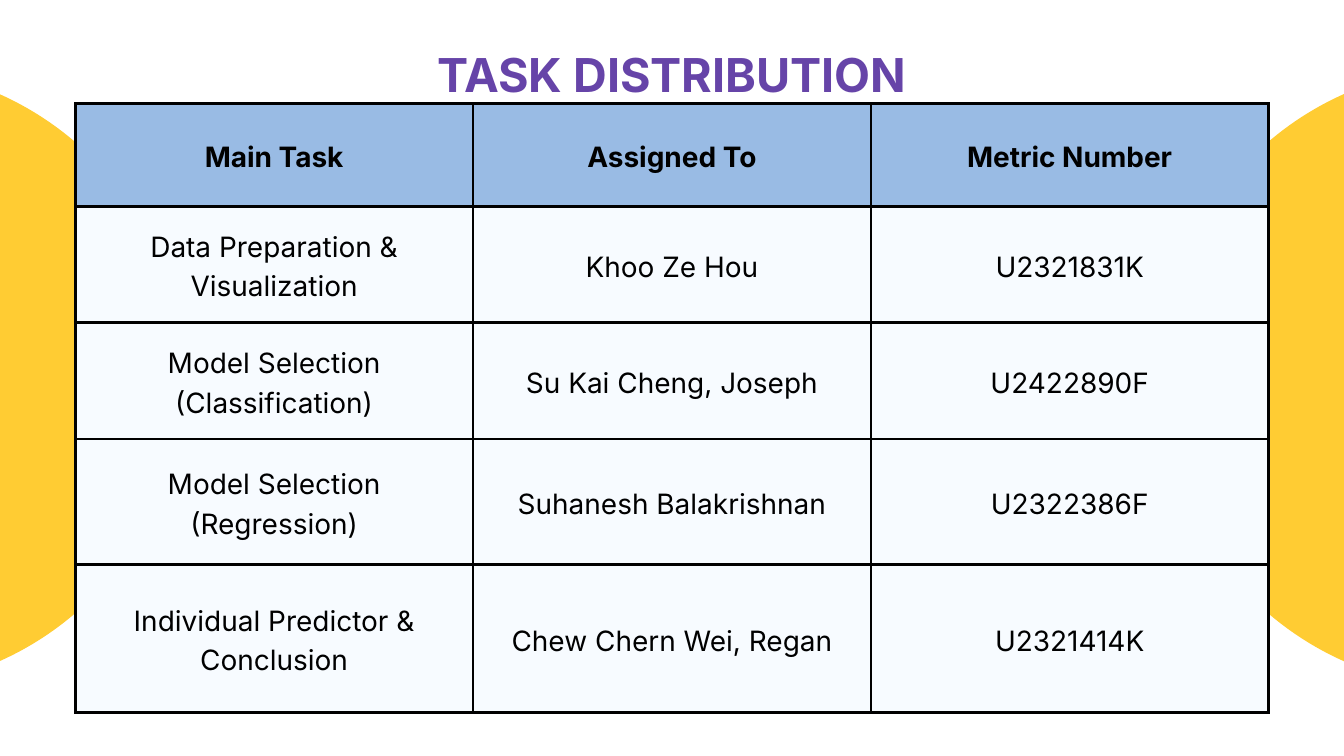
from typing import NamedTuple

import lxml.etree
import pptx
import pptx.dml.color
import pptx.enum.shapes
import pptx.enum.text
import pptx.oxml.ns
import pptx.util

Inches = pptx.util.Inches
Pt = pptx.util.Pt

COLORS = {
    "background": "FFFFFF",
    "title": "6644A8",
    "circle": "FFCC33",
    "header": "99BBE4",
    "body": "F7FBFF",
    "ink": "000000",
}
FONT = "Inter"
SLIDE_WIDTH, SLIDE_HEIGHT = 20, 11.25
CIRCLE_SIZE = 9.24
COLUMN_WIDTH = 5.92
CELL_MARGIN = 0.21
BORDER_WIDTH = 3


class Task(NamedTuple):
    name: str
    assignee: str
    metric_number: str
    height: float


HEADER = Task("Main Task", "Assigned To", "Metric Number", 1.53)
TASKS = [
    Task("Data Preparation & Visualization", "Khoo Ze Hou", "U2321831K", 1.73),
    Task("Model Selection (Classification)", "Su Kai Cheng, Joseph", "U2422890F", 1.73),
    Task("Model Selection (Regression)", "Suhanesh Balakrishnan", "U2322386F", 1.87),
    Task("Individual Predictor & Conclusion", "Chew Chern Wei, Regan", "U2321414K", 2.2),
]


def rgb(name: str) -> pptx.dml.color.RGBColor:
    return pptx.dml.color.RGBColor.from_string(COLORS[name])


def write_centered(frame, text: str, size: float, spacing: float, color: str, bold: bool) -> None:
    frame.word_wrap = True
    paragraph = frame.paragraphs[0]
    paragraph.text = text
    paragraph.alignment = pptx.enum.text.PP_ALIGN.CENTER
    paragraph.line_spacing = Pt(spacing)
    paragraph.font.name = FONT
    paragraph.font.size = Pt(size)
    paragraph.font.bold = bold
    paragraph.font.color.rgb = rgb(color)


def add_title(slide, text: str) -> None:
    title = slide.shapes.add_textbox(Inches(6.47), Inches(0.82), Inches(7.06), Inches(0.72))
    frame = title.text_frame
    frame.margin_left = frame.margin_right = frame.margin_top = frame.margin_bottom = 0
    write_centered(frame, text, 50, 50, "title", True)


def add_circle(slide, left: float) -> None:
    circle = slide.shapes.add_shape(
        pptx.enum.shapes.MSO_SHAPE.OVAL,
        Inches(left), Inches(1), Inches(CIRCLE_SIZE), Inches(CIRCLE_SIZE),
    )
    circle.shadow.inherit = False
    circle.fill.solid()
    circle.fill.fore_color.rgb = rgb("circle")
    circle.line.fill.background()


def add_borders(cell) -> None:
    properties = cell._tc.get_or_add_tcPr()
    qn = pptx.oxml.ns.qn
    for side in ("lnL", "lnR", "lnT", "lnB"):
        line = lxml.etree.SubElement(properties, qn(f"a:{side}"), w=str(Pt(BORDER_WIDTH)))
        fill = lxml.etree.SubElement(line, qn("a:solidFill"))
        lxml.etree.SubElement(fill, qn("a:srgbClr"), val=COLORS["ink"])


def fill_cell(cell, text: str, is_header: bool) -> None:
    cell.margin_left = cell.margin_right = Inches(CELL_MARGIN)
    cell.margin_top = cell.margin_bottom = Inches(CELL_MARGIN)
    cell.vertical_anchor = pptx.enum.text.MSO_ANCHOR.MIDDLE
    # Borders come before the fill in the cell properties
    add_borders(cell)
    cell.fill.solid()
    cell.fill.fore_color.rgb = rgb("header" if is_header else "body")
    write_centered(cell.text_frame, text, 30, 42, "ink", is_header)


def add_task_table(slide, rows: list[Task]) -> None:
    width = 3 * COLUMN_WIDTH
    height = sum(row.height for row in rows)
    table = slide.shapes.add_table(
        len(rows), 3, Inches((SLIDE_WIDTH - width) / 2), Inches(1.54),
        Inches(width), Inches(height),
    ).table
    for column in table.columns:
        column.width = Inches(COLUMN_WIDTH)
    for row_index, row in enumerate(rows):
        table.rows[row_index].height = Inches(row.height)
        for column_index, text in enumerate((row.name, row.assignee, row.metric_number)):
            fill_cell(table.cell(row_index, column_index), text, row is HEADER)


def main() -> None:
    presentation = pptx.Presentation()
    presentation.slide_width = Inches(SLIDE_WIDTH)
    presentation.slide_height = Inches(SLIDE_HEIGHT)
    slide = presentation.slides.add_slide(presentation.slide_layouts[6])
    slide.background.fill.solid()
    slide.background.fill.fore_color.rgb = rgb("background")

    # Title
    add_title(slide, "TASK DISTRIBUTION")

    # Circles running off both sides
    for left in (-6.51, 17.26):
        add_circle(slide, left)

    # Task table
    add_task_table(slide, [HEADER, *TASKS])

    presentation.save("out.pptx")


if __name__ == "__main__":
    main()
